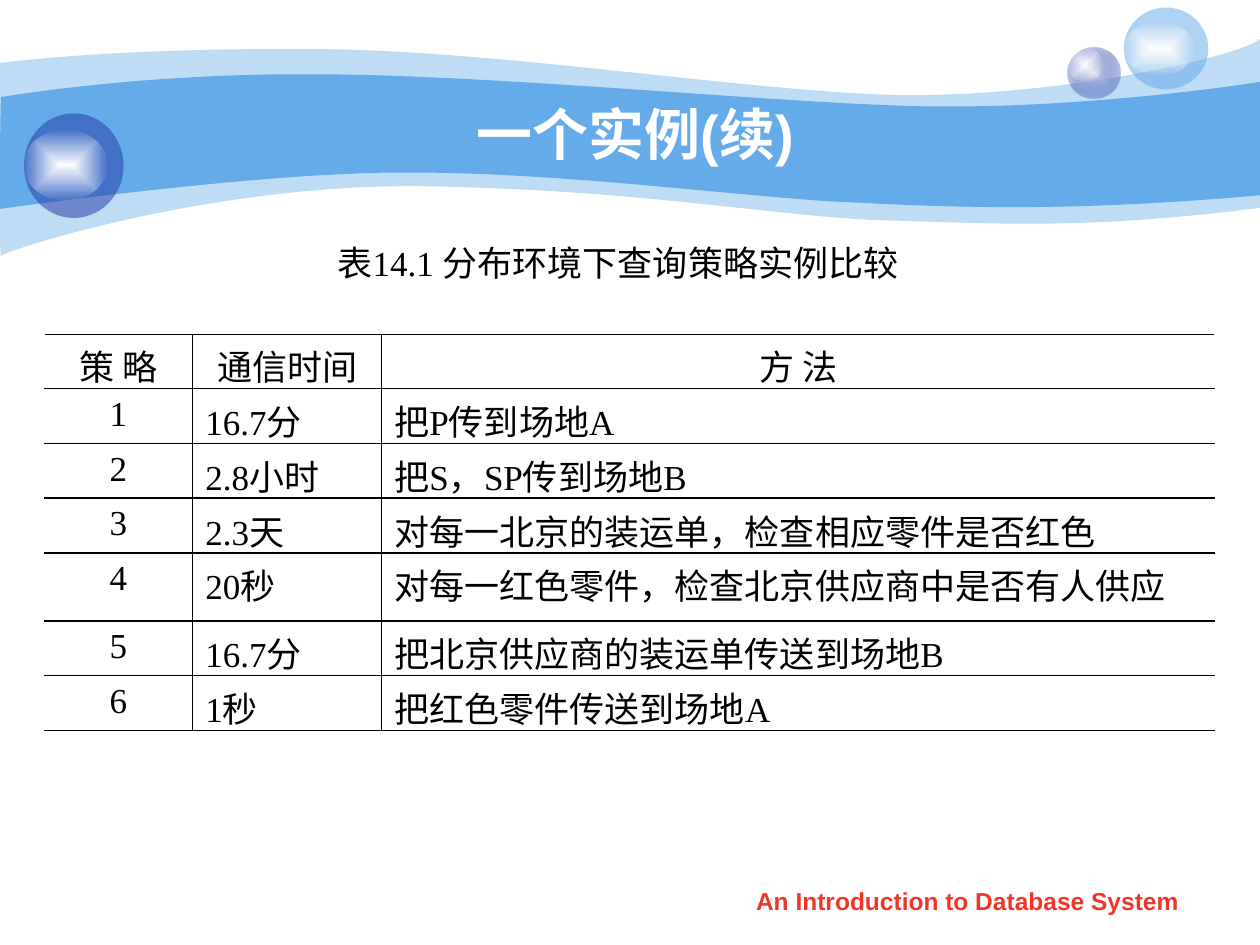
from pptx import Presentation
from pptx.dml.color import RGBColor
from pptx.enum.shapes import MSO_SHAPE as Shape
from pptx.enum.text import MSO_ANCHOR as Anchor, MSO_AUTO_SIZE as Auto, PP_ALIGN as Align
from pptx.oxml import parse_xml
from pptx.util import Inches, Pt

# Content
TITLE = "一个实例(续)"
CAPTION = "表14.1 分布环境下查询策略实例比较"
FOOTER = "An Introduction to Database System"
ROWS = [
    ("策 略", "通信时间", "方 法"),
    ("1", "16.7分", "把P传到场地A"),
    ("2", "2.8小时", "把S，SP传到场地B"),
    ("3", "2.3天", "对每一北京的装运单，检查相应零件是否红色"),
    ("4", "20秒", "对每一红色零件，检查北京供应商中是否有人供应"),
    ("5", "16.7分", "把北京供应商的装运单传送到场地B"),
    ("6", "1秒", "把红色零件传送到场地A"),
]
COLS = [1.18, 1.5, 6.61]
TALL, DEEP = 0.54, 3.15  # height of row 4 and of the whole table
LOW = (DEEP - TALL) / (len(ROWS) - 1)
THIN, THICK = 0.45, 0.96
RULES = [THIN, THIN] + [THICK] * 5 + [THIN]

# Formats
HEAD = dict(size=Pt(32), name="Arial", bold=True)
BODY = dict(size=Pt(20), name="Times New Roman", bold=False)
FOOT = dict(size=Pt(14), name="Arial", bold=True)

# Waves: opacity, start point, then curves (6 numbers) and lines (2 numbers)
SKY = "65AAE9"
WAVES = [
    (41, (0, 0.5), [
        (0.24, 0.47, 1.07, 0.38, 2.47, 0.39), (3.86, 0.39, 5.75, 0.7, 6.99, 0.75),
        (8.22, 0.8, 9.8, 0.47, 10, 0.31), (10, 1.65),
        (8.58, 1.83, 7.87, 1.77, 7.05, 1.75), (6.22, 1.73, 5.15, 1.51, 3.43, 1.48),
        (1.72, 1.44, 0.04, 1.99, 0.01, 2.03), (-0.01, 2.08, 0, 0.75, 0, 0.5)]),
    (100, (0.01, 0.77), [
        (0.02, 0.77, 1.1, 0.58, 2.48, 0.59), (3.86, 0.59, 5.95, 0.8, 7.18, 0.84),
        (8.41, 0.88, 9.76, 0.69, 10, 0.65), (10, 1.55),
        (8.53, 1.68, 7.65, 1.65, 6.82, 1.61), (5.99, 1.58, 4.47, 1.36, 3.17, 1.37),
        (2.03, 1.37, -0.02, 1.66, -0.01, 1.66), (0, 1.66, 0, 0.77, 0.01, 0.77)]),
]

# Balls: box and colour stops (hex, opacity) from the centre outwards
GLOW = [("FFFFFF", 100), ("FFFFFF", 0)]
BALLS = [
    ((8.47, 0.38, 0.42, 0.4), [("C7CEE9", 100), ("233DA9", 31)]),
    ((8.47, 0.38, 0.28, 0.27), GLOW),
    ((8.92, 0.06, 0.67, 0.65), [(SKY, 53)]),
    ((8.92, 0.17, 0.56, 0.43), GLOW),
    ((0.19, 0.9, 0.79, 0.83), [("233DA9", 53)]),
    ((0.19, 1.03, 0.66, 0.56), GLOW),
]
NS = 'xmlns:a="http://schemas.openxmlformats.org/drawingml/2006/main"'


def tint(hue, part=100):
    return f'<a:srgbClr val="{hue}"><a:alpha val="{part * 1000}"/></a:srgbClr>'


def paint(shape, stops):
    """Fill a shape with one colour, or with a gradient from its centre."""
    shape.shadow.inherit = False
    shape.line.fill.background()
    if len(stops) == 1:
        xml = f"<a:solidFill {NS}>{tint(*stops[0])}</a:solidFill>"
    else:
        marks = "".join(f'<a:gs pos="{i * 100000}">{tint(*stop)}</a:gs>'
                        for i, stop in enumerate(stops))
        xml = (f'<a:gradFill {NS} rotWithShape="1"><a:gsLst>{marks}</a:gsLst>'
               '<a:path path="rect"><a:fillToRect l="50000" t="50000" '
               'r="50000" b="50000"/></a:path></a:gradFill>')
    shape.fill.solid()
    props = shape.fill._xPr
    props.replace(props.find("{*}solidFill"), parse_xml(xml))


def wave(shapes, start, parts):
    """Draw the outline through its end points, then bend the curved parts."""
    form = shapes.build_freeform(*map(Inches, start), scale=1.0)
    form.add_line_segments([tuple(map(Inches, part[-2:])) for part in parts])
    shape = form.convert_to_shape()
    lines = list(shape._element.iter("{*}lnTo"))
    for line, part in zip(lines, parts):
        if len(part) == 6:
            pts = "".join(f'<a:pt x="{Inches(x) - shape.left}" y="{Inches(y) - shape.top}"/>'
                          for x, y in zip(part[::2], part[1::2]))
            line.getparent().replace(
                line, parse_xml(f"<a:cubicBezTo {NS}>{pts}</a:cubicBezTo>"))
    return shape


def write(frame, text, look, hue, align=Align.CENTER):
    para = frame.paragraphs[0]
    para.alignment = align
    run = para.add_run()
    run.text = text
    for key, value in look.items():
        setattr(run.font, key, value)
    run.font.color.rgb = RGBColor.from_string(hue)


def edge(cell, side, hue, width):
    cell._tc.get_or_add_tcPr().append(parse_xml(
        f'<a:ln{side} {NS} w="{Pt(width)}"><a:solidFill>{tint(hue)}</a:solidFill>'
        f'</a:ln{side}>'))


def label(slide, box, text, look, hue, wrap):
    frame = slide.shapes.add_textbox(*map(Inches, box)).text_frame
    frame.word_wrap = wrap
    write(frame, text, look, hue)
    return frame


def main():
    deck = Presentation()
    deck.slide_width, deck.slide_height = Inches(10), Inches(7.5)
    slide = deck.slides.add_slide(deck.slide_layouts[5])
    shapes = slide.shapes

    # Background waves and balls
    for part, start, parts in WAVES:
        paint(wave(shapes, start, parts), [(SKY, part)])
    for box, stops in BALLS:
        paint(shapes.add_shape(Shape.OVAL, *map(Inches, box)), stops)

    # Footer, title (brought above the waves) and caption
    label(slide, (5.71, 6.98, 3.94, 0.35), FOOTER, FOOT, "F03628", True)
    title = shapes.title
    shapes._spTree.append(title._element)
    spot = dict(left=1, top=0.75, width=8.08, height=0.62)
    for key, value in spot.items():
        setattr(title, key, Inches(value))
    title.text_frame.vertical_anchor = Anchor.MIDDLE
    write(title.text_frame, TITLE, HEAD, "FFFFFF")
    frame = label(slide, (2.48, 1.86, 4.85, 0.44), CAPTION, BODY, "000000", False)
    frame.auto_size = Auto.SHAPE_TO_FIT_TEXT
    frame.vertical_anchor = Anchor.MIDDLE

    # Table of strategies
    size = (0.35, 2.65, sum(COLS), DEEP)
    table = shapes.add_table(len(ROWS), len(COLS), *map(Inches, size)).table
    table.first_row = table.horz_banding = False
    for col, width in zip(table.columns, COLS):
        col.width = Inches(width)
    last = len(COLS) - 1
    for r, texts in enumerate(ROWS):
        table.rows[r].height = Inches(TALL if r == 4 else LOW)
        for c, text in enumerate(texts):
            cell = table.cell(r, c)
            mid = r == 0 or c == 0
            write(cell.text_frame, text, BODY, "000000",
                  Align.CENTER if mid else Align.LEFT)
            edge(cell, "L", "FFFFFF" if c == 0 else "000000", THIN)
            edge(cell, "R", "FFFFFF" if c == last else "000000", THIN)
            edge(cell, "T", "000000", RULES[r])
            edge(cell, "B", "000000", RULES[r + 1])
            cell.fill.background()

    deck.save("out.pptx")


if __name__ == "__main__":
    main()
